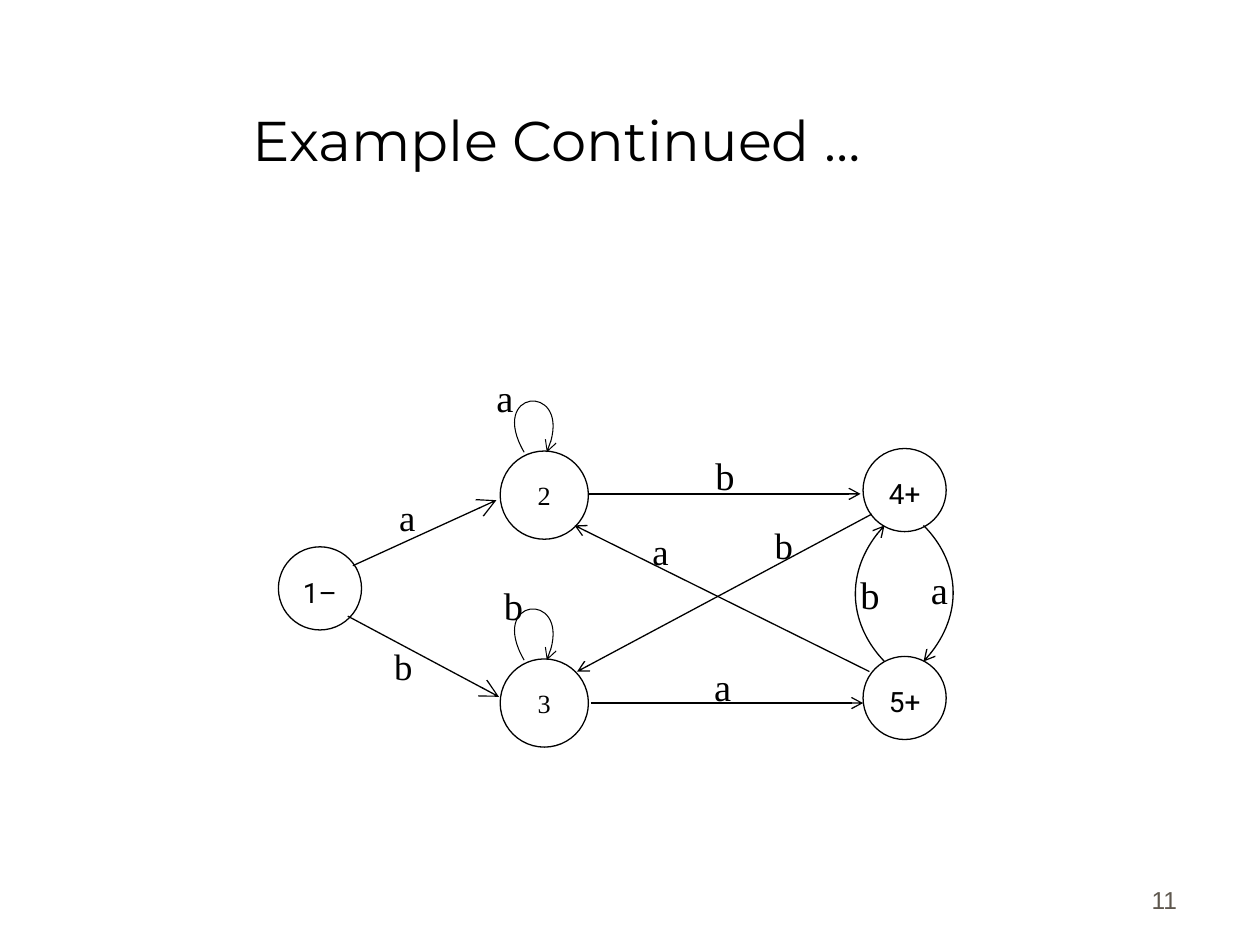
"""Build the slide showing a five-state transition graph."""
from lxml import etree
from pptx import Presentation
from pptx.dml.color import RGBColor
from pptx.enum import shapes, text
from pptx.oxml.ns import qn
from pptx.util import Inches, Pt

THEME = dict(ink="000000", paper="FFFFFF", muted="5E574E", title_font="Montserrat",
             label_font="Times New Roman", final_font="Roboto", number_font="Arial",
             title=32, label=22, small_label=21, final=16, inner=15, number=14,
             line=0.75, loop=0.6)

TITLE = "Example Continued …"
PAGE = "11"
STATES = [
    ("1–", 2.21, 4.34, 0.66, "final"),
    ("2", 3.97, 3.58, 0.7, "inner"),
    ("3", 3.97, 5.23, 0.7, "inner"),
    ("4+", 6.85, 3.56, 0.66, "final"),
    ("5+", 6.85, 5.21, 0.66, "final"),
]
STRAIGHT = [
    ((2.8, 4.49), (3.94, 3.97), "lg"),
    ((2.76, 4.89), (3.96, 5.53), "lg"),
    ((4.67, 3.92), (6.83, 3.92), "med"),
    ((4.69, 5.58), (6.85, 5.58), "med"),
    ((6.9, 5.33), (4.56, 4.17), "med"),
    ((6.92, 4.08), (4.58, 5.33), "med"),
]
LOOP = [(4.16, 3.59), (3.87, 3.09), (4.58, 3.03), (4.34, 3.59)]
LOOP_STEP = 1.65
CURVES = [
    ([(7.33, 4.17), (7.6, 4.44), (7.67, 4.89), (7.33, 5.25)], "line"),
    ([(7.02, 5.25), (6.75, 4.97), (6.69, 4.52), (7.02, 4.17)], "line"),
] + [([(x, y + i * LOOP_STEP) for x, y in LOOP], "loop") for i in range(2)]
LABELS = [
    ("b", 3.03, 5.06, 0.7, 0.53, "small_label"),
    ("a", 3.07, 3.88, 0.7, 0.71, "small_label"),
    ("a", 5.08, 4.15, 0.7, 0.71, "small_label"),
    ("b", 6.05, 4.1, 0.7, 0.71, "small_label"),
    ("b", 6.73, 4.48, 0.98, 0.67, "label"),
    ("a", 7.29, 4.44, 0.98, 0.67, "label"),
    ("a", 3.84, 2.92, 0.98, 0.67, "label"),
    ("b", 3.9, 4.57, 0.98, 0.67, "label"),
    ("b", 5.58, 3.54, 0.41, 0.4, "label"),
    ("a", 5.57, 5.21, 0.41, 0.4, "label"),
]


def rgb(name):
    return RGBColor.from_string(THEME[name])


def put_text(sp, words, size, font="label_font", color="ink",
             align=text.PP_ALIGN.LEFT, anchor=text.MSO_ANCHOR.TOP, wrap=True):
    tf = sp.text_frame
    tf.word_wrap = wrap
    tf.vertical_anchor = anchor
    p = tf.paragraphs[0]
    p.alignment = align
    r = p.add_run()
    r.text = words
    r.font.size = Pt(THEME[size])
    r.font.name = THEME[font]
    r.font.color.rgb = rgb(color)
    return tf


def add_box(s, words, x, y, w, h, size, **fmt):
    sp = s.shapes.add_textbox(Inches(x), Inches(y), Inches(w), Inches(h))
    put_text(sp, words, size, **fmt)


def add_state(s, name, x, y, d, size):
    sp = s.shapes.add_shape(shapes.MSO_SHAPE.OVAL, *map(Inches, (x, y, d, d)))
    sp.shadow.inherit = False
    sp.fill.solid()
    sp.fill.fore_color.rgb = rgb("paper")
    sp.line.color.rgb = rgb("ink")
    sp.line.width = Pt(THEME["line"])
    final = size == "final"
    tf = put_text(sp, name, size, wrap=False,
                  font="final_font" if final else "label_font",
                  align=text.PP_ALIGN.CENTER, anchor=text.MSO_ANCHOR.MIDDLE)
    tf.margin_left = tf.margin_right = tf.margin_bottom = 0
    tf.margin_top = Inches(0.06 if final else 0)


def style_arrow(sp, weight="line", head="med"):
    sp.line.color.rgb = rgb("ink")
    sp.line.width = Pt(THEME[weight])
    ln = sp.line._get_or_add_ln()
    etree.SubElement(ln, qn("a:tailEnd"), type="arrow", w=head, len=head)


def add_straight(s, start, end, head):
    cx = s.shapes.add_connector(shapes.MSO_CONNECTOR.STRAIGHT,
                                *map(Inches, start + end))
    style_arrow(cx, head=head)
    etree.SubElement(cx._element.spPr, qn("a:effectLst"))


def add_curve(s, points, weight):
    start, *rest = [(Inches(x), Inches(y)) for x, y in points]
    fb = s.shapes.build_freeform(*start)
    fb.add_line_segments(rest, close=False)
    sp = fb.convert_to_shape()
    sp.shadow.inherit = False
    sp.fill.background()
    style_arrow(sp, weight)
    geometry = sp._element.spPr.find(".//" + qn("a:path"))
    curve = etree.SubElement(geometry, qn("a:cubicBezTo"))
    for segment in geometry.findall(qn("a:lnTo")):
        curve.append(segment[0])
        geometry.remove(segment)


def main():
    prs = Presentation()
    prs.slide_width, prs.slide_height = Inches(10), Inches(7.5)
    s = prs.slides.add_slide(prs.slide_layouts[5])
    title = s.shapes.title
    title.left, title.top, title.width, title.height = map(
        Inches, (0.17, 0.17, 8.5, 1.25))
    put_text(title, TITLE, "title", font="title_font",
             align=text.PP_ALIGN.CENTER, anchor=text.MSO_ANCHOR.BOTTOM)
    add_box(s, PAGE, 7.36, 6.81, 2.08, 0.5, "number", font="number_font",
            color="muted", align=text.PP_ALIGN.RIGHT, anchor=text.MSO_ANCHOR.BOTTOM)
    for state in STATES:
        add_state(s, *state)
    for arrow in STRAIGHT:
        add_straight(s, *arrow)
    for curve in CURVES:
        add_curve(s, *curve)
    for label in LABELS:
        add_box(s, *label)
    prs.save("out.pptx")


if __name__ == "__main__":
    main()
